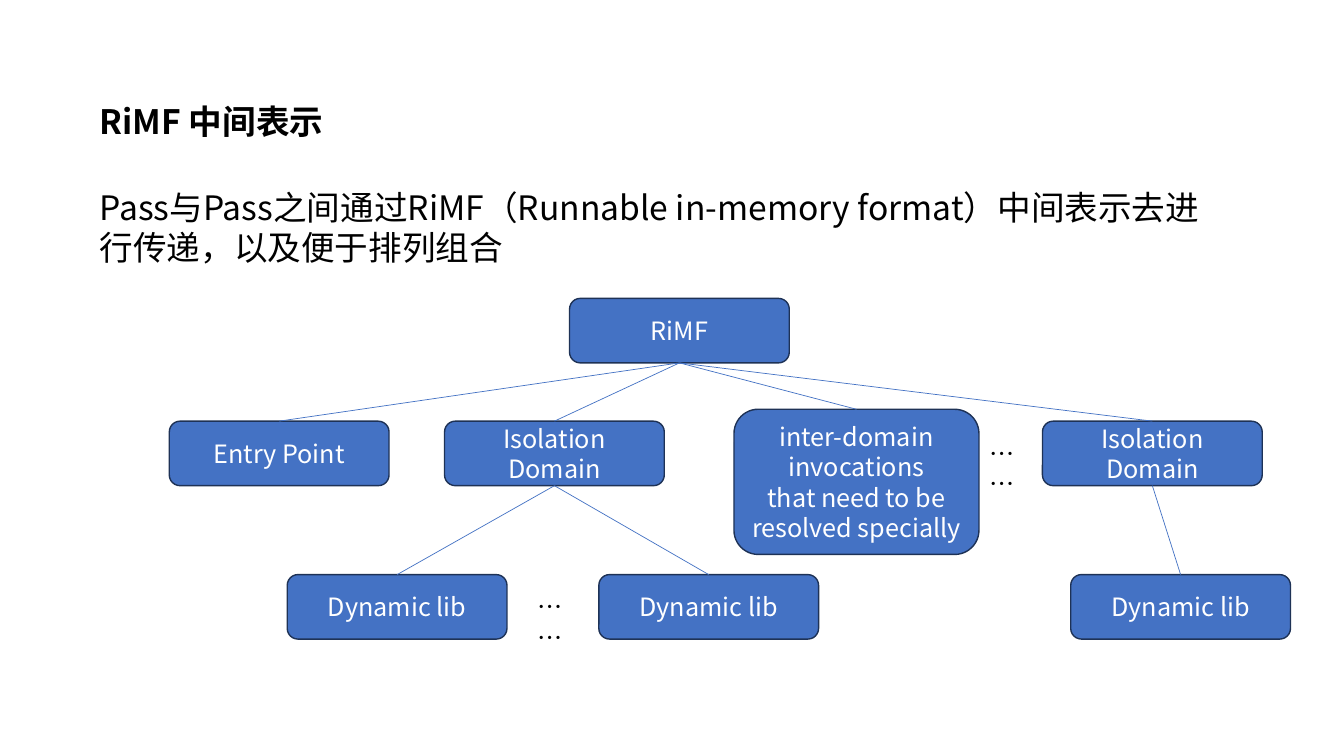
from lxml import etree
from pptx import Presentation
from pptx.dml.color import RGBColor
from pptx.enum import shapes, text
from pptx.oxml import ns
from pptx.util import Inches, Pt

FONT = "Noto Sans CJK SC"
COLORS = {"ink": "000000", "node": "4472C4", "edge": "1E3256", "label": "FFFFFF"}
TOP, BOTTOM = 0, 2  # connection sites of a rounded rectangle

# Regions: left, top, width, height in percent of the slide
TITLE = (6.68, 12.67, 37.58, 6.67)
INTRO = (6.68, 24, 84.92, 16.13)
TREE = (12.6, 39.47, 83.42, 45.07)

# Tree parts: centre x, centre y, width, height in percent of the tree region
NODE_SIZE = (19.6, 18.93)
ROWS = (9.47, 45.5, 90.53)
NODES = {
    "root": ("RiMF", 45.5, ROWS[0], *NODE_SIZE),
    "entry": ("Entry Point", 9.8, ROWS[1], *NODE_SIZE),
    "domain 1": ("Isolation Domain", 34.35, ROWS[1], *NODE_SIZE),
    "calls": ("inter-domain invocations\nthat need to be resolved specially",
              61.29, 53.85, 21.85, 42.6),
    "domain 2": ("Isolation Domain", 87.68, ROWS[1], *NODE_SIZE),
    "lib 1": ("Dynamic lib", 20.32, ROWS[2], *NODE_SIZE),
    "lib 2": ("Dynamic lib", 48.11, ROWS[2], *NODE_SIZE),
    "lib 3": ("Dynamic lib", 90.2, ROWS[2], *NODE_SIZE),
}
CHILDREN = {
    "root": ("entry", "domain 1", "calls", "domain 2"),
    "domain 1": ("lib 1", "lib 2"),
    "domain 2": ("lib 3",),
}
GAPS = ((75.31, ROWS[1]), (34.94, ROWS[2]))
GAP_SIZE = (6.03, 11.83)


def color(name):
    return RGBColor.from_string(COLORS[name])


def share(box, left, top, width, height):
    """Turn percentages of a box into a box in EMU."""
    x, y, w, h = box
    return (int(x + w * left / 100), int(y + h * top / 100),
            int(w * width / 100), int(h * height / 100))


def centred(box, cx, cy, width, height):
    return share(box, cx - width / 2, cy - height / 2, width, height)


def write(sp, words, size, ink, align=text.PP_ALIGN.LEFT,
          anchor=text.MSO_ANCHOR.TOP, bold=False):
    tf = sp.text_frame
    tf.text = words
    tf.word_wrap = True
    tf.auto_size = text.MSO_AUTO_SIZE.NONE
    tf.vertical_anchor = anchor
    for p in tf.paragraphs:
        p.alignment = align
        for r in p.runs:
            r.font.size, r.font.bold, r.font.name = Pt(size), bold, FONT
            r.font.color.rgb = color(ink)
            # East Asian typeface
            ea = etree.SubElement(r.font._element, ns.qn("a:ea"))
            ea.set("typeface", FONT)


def add_title(s, box):
    title = s.shapes.title
    title.left, title.top, title.width, title.height = box
    write(title, "RiMF 中间表示", 24, "ink", bold=True)


def add_intro(s, box):
    write(s.shapes.add_textbox(*box),
          "Pass与Pass之间通过RiMF（Runnable in-memory format）"
          "中间表示去进行传递，以及便于排列组合", 24, "ink")


def add_node(s, box, label):
    sp = s.shapes.add_shape(shapes.MSO_SHAPE.ROUNDED_RECTANGLE, *box)
    sp.shadow.inherit = False
    sp.fill.solid()
    sp.fill.fore_color.rgb = color("node")
    sp.line.color.rgb = color("edge")
    sp.line.width = Pt(1)
    write(sp, label, 18, "label", text.PP_ALIGN.CENTER, text.MSO_ANCHOR.MIDDLE)
    return sp


def add_branch(s, parent, child):
    line = s.shapes.add_connector(shapes.MSO_CONNECTOR.STRAIGHT, 0, 0, 0, 0)
    line.begin_connect(parent, BOTTOM)
    line.end_connect(child, TOP)
    line.line.color.rgb = color("node")
    line.line.width = Pt(0.5)
    etree.SubElement(line._element.spPr, ns.qn("a:effectLst"))


def add_tree(s, box):
    nodes = {key: add_node(s, centred(box, *place), label)
             for key, (label, *place) in NODES.items()}
    for parent, children in CHILDREN.items():
        for child in children:
            add_branch(s, nodes[parent], nodes[child])
    # Ellipses between siblings
    for cx, cy in GAPS:
        write(s.shapes.add_textbox(*centred(box, cx, cy, *GAP_SIZE)),
              "……", 18, "ink")


def main():
    prs = Presentation()
    prs.slide_width, prs.slide_height = Inches(13.33), Inches(7.5)
    s = prs.slides.add_slide(prs.slide_layouts[5])
    page = (0, 0, prs.slide_width, prs.slide_height)
    add_title(s, share(page, *TITLE))
    add_intro(s, share(page, *INTRO))
    add_tree(s, share(page, *TREE))
    prs.save("out.pptx")


if __name__ == "__main__":
    main()
